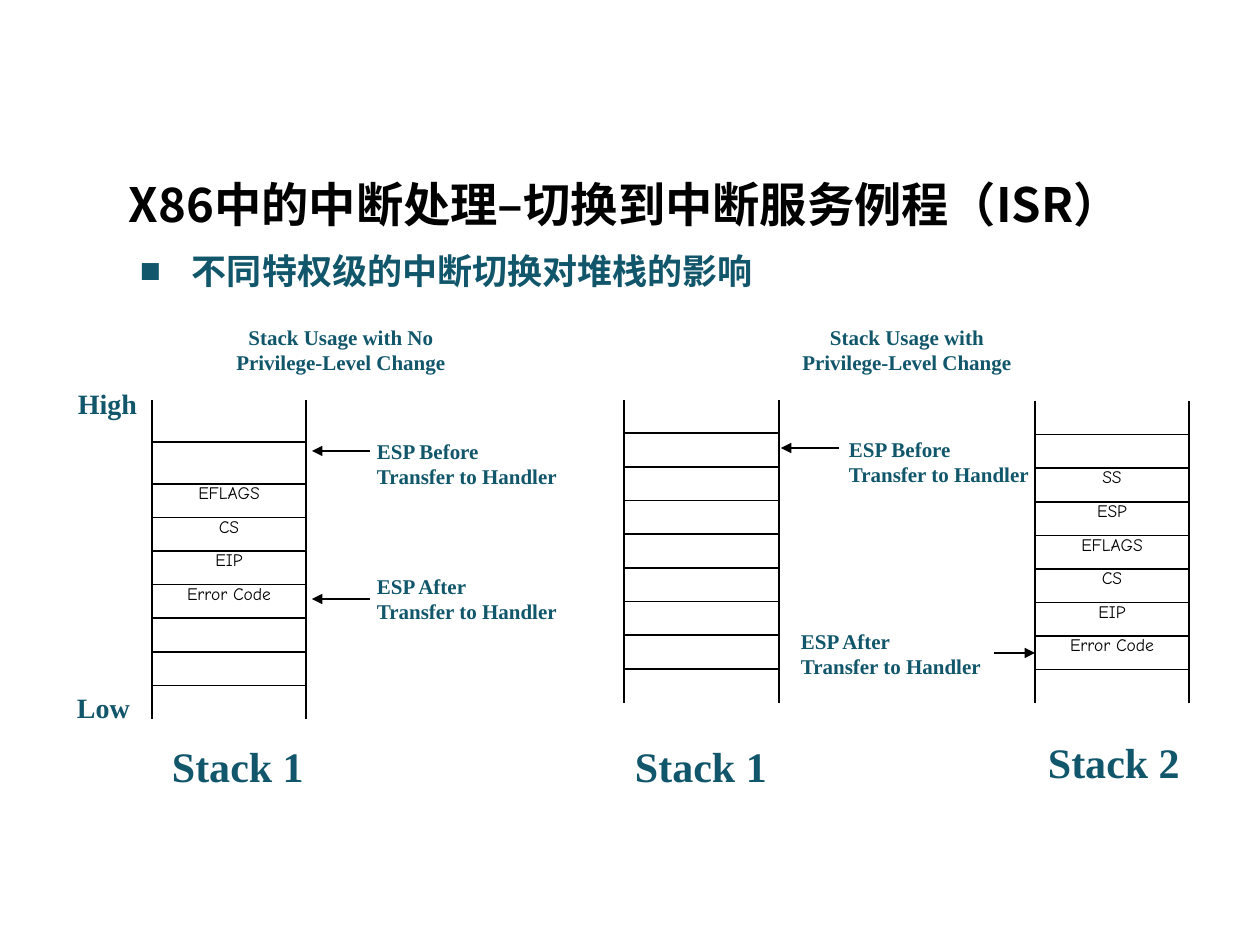
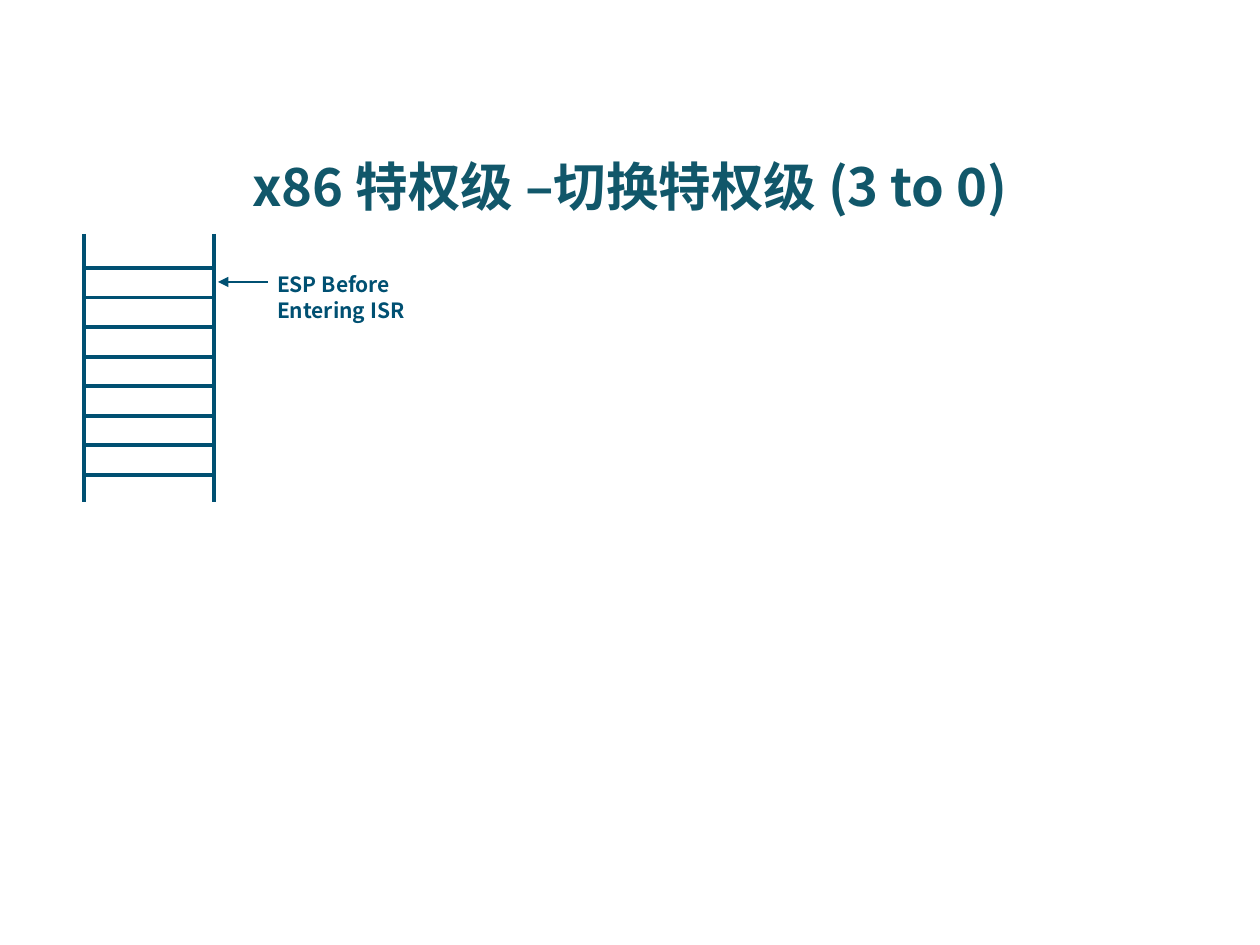
import lxml.etree
import pptx
import pptx.dml.color
import pptx.enum.shapes
import pptx.enum.text
import pptx.oxml.ns
import pptx.util

EMU_PER_PX = 914400 / 126
SANS, SERIF, COMIC = "Noto Sans CJK SC", "Times New Roman", "Comic Neue"
BLACK, TEAL, TITLE_TEAL, NAVY = "000000", "11566A", "11576A", "005072"
LEFT = pptx.enum.text.PP_ALIGN.LEFT
CENTER = pptx.enum.text.PP_ALIGN.CENTER


def px(length):
    return pptx.util.Emu(round(length * EMU_PER_PX))


def color(hex_string):
    return pptx.dml.color.RGBColor.from_string(hex_string)


def add_xml(parent, tag, **attributes):
    return lxml.etree.SubElement(parent, pptx.oxml.ns.qn(tag), attributes)


class SlideWriter:
    """Holds the deck, its style and the slide being drawn."""

    def __init__(self):
        self.deck = pptx.Presentation()
        self.deck.slide_width, self.deck.slide_height = px(1260), px(945)
        self.page = None

    def new_page(self):
        self.page = self.deck.slides.add_slide(self.deck.slide_layouts[6])

    def style(self, para, font, size, fill, bold=True, align=LEFT):
        para.alignment = align
        para.font.size = pptx.util.Pt(size)
        para.font.bold = bold
        para.font.color.rgb = color(fill)
        para.font.name = font
        add_xml(para.font._element, "a:ea", typeface=font)

    def text(self, place, lines, size, font=SERIF, fill=TEAL, align=LEFT, spacing=None):
        box = self.page.shapes.add_textbox(*map(px, place))
        frame = box.text_frame
        frame.word_wrap = True
        frame.margin_left = frame.margin_right = 0
        frame.margin_top = frame.margin_bottom = 0
        frame.text = lines
        for para in frame.paragraphs:
            self.style(para, font, size, fill, align=align)
            if spacing:
                para.line_spacing = pptx.util.Pt(spacing)
        return frame

    def title(self, place, words, size, fill, align=LEFT):
        frame = self.text(place, words, size, SANS, fill, align)
        frame.vertical_anchor = pptx.enum.text.MSO_ANCHOR.MIDDLE

    def bullet(self, place, words, size):
        para = self.text(place, words, size, SANS).paragraphs[0]
        properties = para._p.get_or_add_pPr()
        properties.set("marL", str(px(52)))
        properties.set("indent", str(-px(52)))
        mark = [add_xml(properties, "a:buFont", typeface="Arial"),
                add_xml(properties, "a:buChar", char="■")]
        for element in mark:
            para.font._element.addprevious(element)

    def note(self, left, top, lines):
        self.text((left, top, 190, 52), lines, 12, spacing=14.5)

    def caption(self, left, lines):
        self.text((left, 324, 214, 52), lines, 12, align=CENTER, spacing=14.5)

    def line(self, start, end, fill=BLACK, weight=1, arrow=False):
        connector = self.page.shapes.add_connector(
            pptx.enum.shapes.MSO_CONNECTOR.STRAIGHT, *map(px, start + end))
        connector.line.color.rgb = color(fill)
        connector.line.width = pptx.util.Pt(weight)
        if arrow:
            add_xml(connector.line._get_or_add_ln(), "a:tailEnd", type="triangle")
        add_xml(connector._element.spPr, "a:effectLst")

    def arrow(self, start_x, end_x, y, fill=BLACK):
        self.line((start_x, y), (end_x, y), fill, 1.5, arrow=True)

    def ladder(self, sides, ends, rungs, fill, weight):
        """Draws an empty stack of eight rungs, evenly spaced between two heights."""
        left, right = sides
        top, bottom = ends
        first, last = rungs
        for x in sides:
            self.line((x, top), (x, bottom), fill, weight)
        for index in range(8):
            y = first + (last - first) * index / 7
            self.line((left, y), (right, y), fill, weight)

    def border(self, cell, side, visible):
        line = add_xml(cell._tc.get_or_add_tcPr(), "a:ln" + side, w="12700")
        if visible:
            add_xml(add_xml(line, "a:solidFill"), "a:srgbClr", val=BLACK)
        else:
            add_xml(line, "a:noFill")

    def stack_table(self, left, top, entries, heights):
        """Draws a one-column stack that is open at both ends."""
        frame = self.page.shapes.add_table(
            len(entries), 1, px(left), px(top), px(154), px(sum(heights)))
        table = frame.table
        table.first_row = table.horz_banding = False
        last = len(entries) - 1
        for index, (entry, height) in enumerate(zip(entries, heights)):
            table.rows[index].height = px(height)
            cell = table.cell(index, 0)
            cell.margin_left = cell.margin_right = 0
            cell.margin_top = cell.margin_bottom = 0
            cell.text = entry
            para = cell.text_frame.paragraphs[0]
            self.style(para, COMIC, 10, BLACK, bold=False, align=CENTER)
            if not entry:
                add_xml(para._p, "a:endParaRPr", sz="1000")
            for side in "LRTB":
                is_open = (side, index) in (("T", 0), ("B", last))
                self.border(cell, side, not is_open)
            cell.fill.background()


def draw_stack_usage(writer):
    before = "ESP Before\nTransfer to Handler"
    after = "ESP After\nTransfer to Handler"
    saved = ["EFLAGS", "CS", "EIP", "Error Code"]
    row = 33.6

    writer.new_page()
    writer.title((129, 175, 1066, 57), "X86中的中断处理–切换到中断服务例程（ISR）", 27, BLACK)
    writer.bullet((140, 249, 708, 43), "不同特权级的中断切换对堆栈的影响", 20)

    writer.caption(234, "Stack Usage with No\nPrivilege-Level Change")
    writer.stack_table(152, 400, ["", ""] + saved + [""] * 3, [42] * 2 + [row] * 7)
    writer.text((78, 387, 63, 35), "High", 16)
    writer.text((77, 691, 63, 35), "Low", 16)
    writer.arrow(370, 312, 451)
    writer.note(377, 438, before)
    writer.arrow(370, 312, 599)
    writer.note(377, 573, after)

    writer.caption(800, "Stack Usage with\nPrivilege-Level Change")
    writer.ladder((624, 779), (400, 703), (433, 669), BLACK, 1)
    writer.arrow(839, 781, 448)
    writer.note(849, 436, before)
    writer.stack_table(1035, 401, ["", "", "SS", "ESP"] + saved + [""], [row] * 9)
    writer.arrow(994, 1035, 653)
    writer.note(801, 628, after)

    for left, top, name in ((172, 741, "Stack 1"), (635, 741, "Stack 1"), (1048, 737, "Stack 2")):
        writer.text((left, top, 138, 52), name, 24)


def draw_privilege_switch(writer):
    writer.new_page()
    writer.title((0, 147, 1260, 77), "x86 特权级 –切换特权级 (3 to 0)", 30, TITLE_TEAL, CENTER)
    writer.text((277, 272, 144, 50), "ESP Before\nEntering ISR", 12, SANS, NAVY, spacing=14.4)
    writer.arrow(268, 218, 282, NAVY)
    writer.ladder((84, 214), (234, 502), (268, 475), NAVY, 2.25)


def main():
    writer = SlideWriter()
    draw_stack_usage(writer)
    draw_privilege_switch(writer)
    writer.deck.save("out.pptx")


if __name__ == "__main__":
    main()
